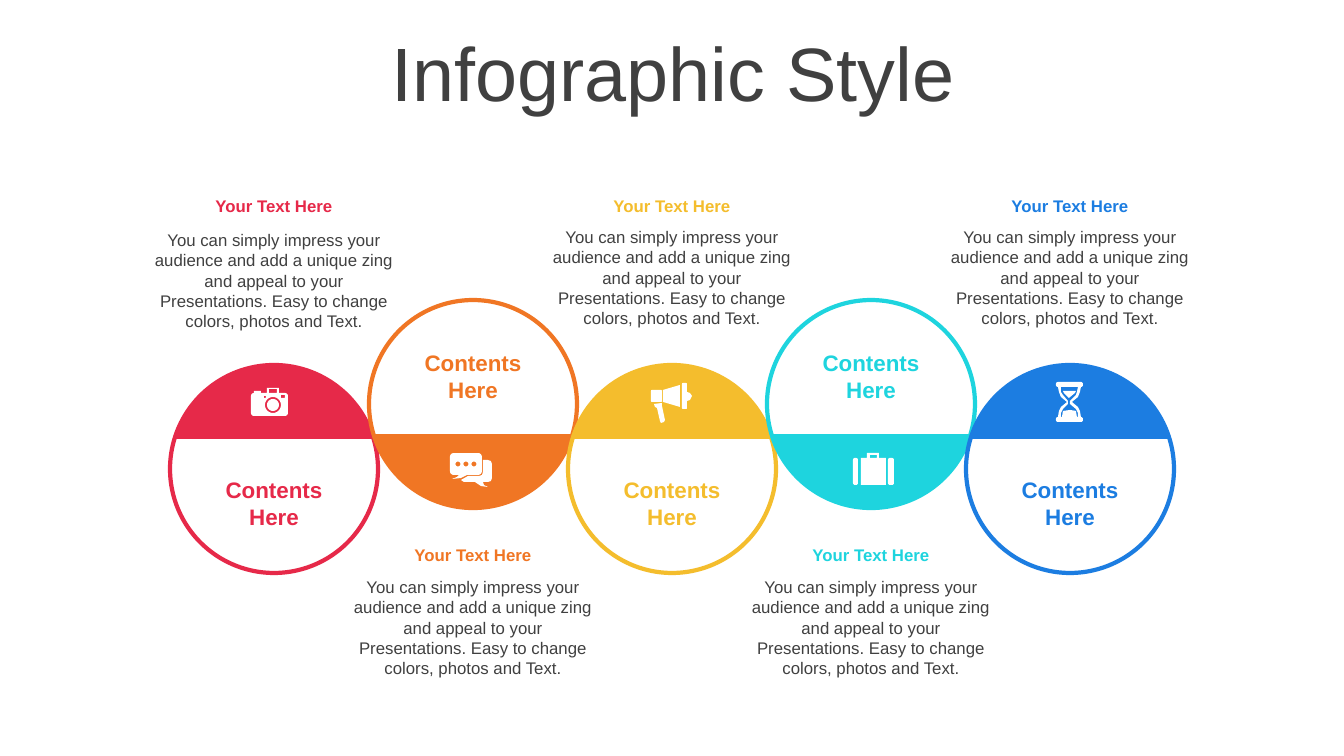
from dataclasses import dataclass
from math import cos, radians, sin

from pptx import Presentation
from pptx.dml.color import RGBColor
from pptx.enum.shapes import MSO_SHAPE as Preset
from pptx.enum.text import MSO_ANCHOR as Anchor, MSO_AUTO_SIZE as AutoSize, PP_ALIGN as Align
from pptx.util import Emu, Pt

EMU_PER_PX = 914400 / 100.8
ICON_STEPS = 20
BODY = ("You can simply impress your audience and add a unique zing and appeal to your "
        "Presentations. Easy to change colors, photos and Text.")


def px(length):
    """Turn pixels into EMU."""
    return Emu(round(length * EMU_PER_PX))


def color(value):
    """Turn a hex string into a colour."""
    return RGBColor.from_string(value)


def block(left, top, width, height, radius=0):
    """List the outline points of a rectangle with rounded corners."""
    right, bottom = left + width, top + height
    if not radius:
        return [(left, top), (right, top), (right, bottom), (left, bottom)]
    corners = [(right - radius, bottom - radius, 0), (left + radius, bottom - radius, 90),
               (left + radius, top + radius, 180), (right - radius, top + radius, 270)]
    return [(x + radius * cos(radians(start + turn)), y + radius * sin(radians(start + turn)))
            for x, y, start in corners for turn in range(0, 91, 15)]


def disc(x, y, radius):
    """List the outline points of a circle."""
    return block(x - radius, y - radius, 2 * radius, 2 * radius, radius)


CAMERA = [block(0, 5, 37, 23, 3), block(3, 3, 7, 2), block(16, 0, 12, 5), block(18, 1, 8, 4),
          disc(22, 17, 8), disc(22, 17, 6), block(13, 8, 2, 2), block(30, 7, 4, 3)]
CHAT = [block(0, 0, 32, 22, 4), [(9, 22), (17, 22), (11, 25), (2, 26), (7, 24)],
        *[disc(x, 11, 2.5) for x in (8, 16, 24)],
        [(33, 7), (38, 7), (41, 8), (42, 11), (42, 25), (41, 28), (38, 29), (33, 29),
         (34, 32), (38, 34), (31, 33), (25, 29), (14, 29), (11, 27), (18, 23), (29, 23),
         (32, 22), (33, 19)]]
MEGAPHONE = [[(3, 21), (11, 20), (11, 23), (14, 37), (13, 39), (10, 40), (9, 38), (6, 25), (4, 24)],
             block(0, 7, 11, 12, 1), [(12, 7), (29, 2), (29, 24), (12, 19)],
             block(31, 0, 5, 26, 1), [(36, 9), (39, 10), (41, 13), (39, 17), (36, 18)]]
SUITCASE = [block(0, 5, 5, 27, 2), block(35, 5, 6, 27, 2), block(8, 5, 25, 27),
            block(14, 0, 12, 5), block(17, 2, 7, 3)]
HOURGLASS = [block(0, 0, 27, 5, 2), block(0, 35, 27, 5, 2),
             [(2, 5), (25, 5), (24, 10), (22, 15), (16, 20), (22, 25), (24, 29), (25, 35),
              (2, 35), (3, 29), (5, 25), (11, 20), (5, 15), (3, 10)],
             [(5, 5), (22, 5), (21, 10), (20, 13), (14, 19), (14, 22), (20, 27), (22, 31),
              (22, 35), (5, 35), (5, 31), (7, 27), (12, 22), (12, 19), (7, 13), (5, 10)],
             [(7, 9), (20, 9), (19, 11), (13, 16), (8, 11)],
             [(7, 29), (14, 28), (20, 29), (21, 35), (6, 35)]]


@dataclass
class Painter:
    """Hold the style and the current slide."""
    page: object
    font: str = "Arial"
    ink: str = "404040"
    paper: str = "FFFFFF"

    def format(self, frame, size, ink, bold=False):
        """Centre and style the text of a frame."""
        frame.word_wrap = True
        for para in frame.paragraphs:
            para.alignment = Align.CENTER
            for span in para.runs:
                span.font.name, span.font.size, span.font.bold = self.font, Pt(size), bold
                span.font.color.rgb = color(ink)

    def title(self, text, left, top, width, height):
        """Place the slide title."""
        box = self.page.shapes.title
        box.left, box.top, box.width, box.height = map(px, (left, top, width, height))
        frame = box.text_frame
        frame.text = text
        frame.auto_size = AutoSize.NONE
        frame.vertical_anchor = Anchor.MIDDLE
        frame.paragraphs[0].line_spacing = 0.9
        self.format(frame, 54, self.ink)

    def text(self, text, center, top, width, height, size, ink, bold=False, anchor=Anchor.TOP):
        """Add a text box centred on a column."""
        box = self.page.shapes.add_textbox(*map(px, (center - width // 2, top, width, height)))
        frame = box.text_frame
        frame.text = text
        frame.vertical_anchor = anchor
        self.format(frame, size, ink, bold)

    def round(self, preset, center, top, diameter, line, weight):
        """Add an unfilled round shape with a coloured line."""
        shape = self.page.shapes.add_shape(
            preset, *map(px, (center - diameter // 2, top, diameter, diameter)))
        shape.shadow.inherit = False
        shape.fill.background()
        shape.line.color.rgb = color(line)
        shape.line.width = Pt(weight)
        return shape

    def badge(self, center, top, diameter, ink, flipped):
        """Add a ring with a filled cap at its top or bottom."""
        self.round(Preset.OVAL, center, top, diameter, ink, 3)
        cap = self.round(Preset.CHORD, center, top, diameter, ink, 1.5)
        cap.adjustments[0], cap.adjustments[1] = 118.42, 205.55
        cap.rotation = 180 if flipped else 0
        cap.fill.solid()
        cap.fill.fore_color.rgb = color(ink)

    def icon(self, outlines, left, top):
        """Add one freeform made of several outlines."""
        builder = self.page.shapes.build_freeform(scale=EMU_PER_PX / ICON_STEPS)
        for outline in outlines:
            first, *rest = [(round(x * ICON_STEPS), round(y * ICON_STEPS)) for x, y in outline]
            builder.move_to(*first)
            builder.add_line_segments(rest, close=True)
        shape = builder.convert_to_shape(px(left), px(top))
        shape.shadow.inherit = False
        shape.fill.solid()
        shape.fill.fore_color.rgb = color(self.paper)
        shape.line.fill.background()


def main():
    """Build the slide and save it."""
    deck = Presentation()
    deck.slide_width, deck.slide_height = px(1344), px(756)
    painter = Painter(deck.slides.add_slide(deck.slide_layouts[5]))
    painter.title("Infographic Style", 35, 37, 1276, 80)
    columns = [("E62949", CAMERA, 251, 388, 225), ("F07624", CHAT, 450, 453, 572),
               ("F4BD2D", MEGAPHONE, 651, 383, 222), ("1ED4DE", SUITCASE, 853, 453, 572),
               ("1C7DE1", HOURGLASS, 1056, 382, 222)]
    for index, (ink, outlines, icon_left, icon_top, body_top) in enumerate(columns):
        center = 274 + 199 * index
        raised = index % 2 == 1
        painter.badge(center, 300 if raised else 365, 208, ink, raised)
        painter.icon(outlines, icon_left, icon_top)
        painter.text("Contents Here", center, 344 if raised else 471, 124, 64, 16, ink,
                     True, Anchor.MIDDLE)
        painter.text("Your Text Here", center, 540 if raised else 191, 260, 30, 12, ink, True)
        painter.text(BODY, center, body_top, 260, 112, 12, painter.ink)
    deck.save("out.pptx")


if __name__ == "__main__":
    main()
